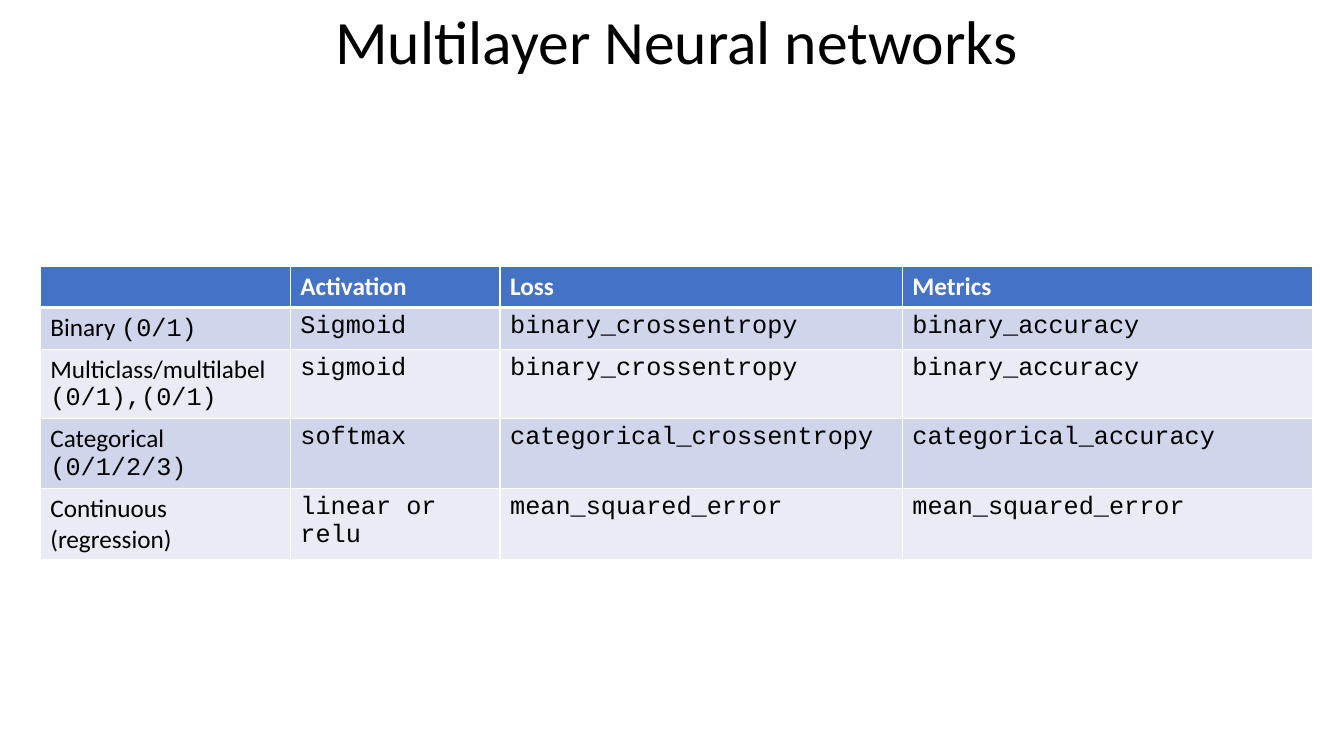
from lxml import etree
from pptx import Presentation, util as u
from pptx.dml.color import RGBColor
from pptx.enum import text
from pptx.oxml.ns import qn

WIDTH, HEIGHT = 13.33, 7.5
BODY, CODE = "Calibri", "Courier New"
BLACK, WHITE, HEADER = "000000", "FFFFFF", "4472C4"
BANDS = ("CFD5EA", "E9EBF5")

COLUMN_WIDTHS = (2.48, 2.08, 3.99, 4.07)
ROW_HEIGHTS = (0.41, 0.41, 0.69, 0.69, 0.7)
HEADINGS = ("", "Activation", "Loss", "Metrics")

# Each task: paragraphs of (words, font) runs, then its three code cells
TASKS = (
    ([[("Binary ", BODY), ("(0/1)", CODE)]],
     "Sigmoid", "binary_crossentropy", "binary_accuracy"),
    ([[("Multiclass/multilabel", BODY)], [("(0/1),(0/1)", CODE)]],
     "sigmoid", "binary_crossentropy", "binary_accuracy"),
    ([[("Categorical", BODY)], [("(0/1/2/3)", CODE)]],
     "softmax", "categorical_crossentropy", "categorical_accuracy"),
    ([[("Continuous (regression)", BODY)]],
     "linear or relu", "mean_squared_error", "mean_squared_error"),
)


def color(value):
    return RGBColor.from_string(value)


def add_run(paragraph, words, name, size, ink, bold=False):
    run = paragraph.add_run()
    run.text = words
    run.font.color.rgb = color(ink)
    for key, value in dict(name=name, size=u.Pt(size), bold=bold).items():
        setattr(run.font, key, value)


def add_title(slide, words):
    title = slide.shapes.title
    place = dict(left=0.072 * WIDTH, top=-0.037 * HEIGHT,
                 width=0.863 * WIDTH, height=0.193 * HEIGHT)
    for key, value in place.items():
        setattr(title, key, u.Inches(value))
    frame = title.text_frame
    frame.word_wrap = True
    frame.vertical_anchor = text.MSO_ANCHOR.MIDDLE
    paragraph = frame.paragraphs[0]
    paragraph.alignment = text.PP_ALIGN.CENTER
    paragraph.line_spacing = 0.9
    add_run(paragraph, words, BODY, 44, BLACK)


def add_borders(cell, bottom=1):
    """Rule a cell in white; borders must precede the fill."""
    properties = cell._tc.get_or_add_tcPr()
    for side, points in dict(L=1, R=1, T=1, B=bottom).items():
        line = etree.SubElement(properties, qn(f"a:ln{side}"), w=str(u.Pt(points)))
        fill = etree.SubElement(line, qn("a:solidFill"))
        etree.SubElement(fill, qn("a:srgbClr"), val=WHITE)


def fill_cell(cell, paragraphs, fill, ink=BLACK, bold=False, bottom=1):
    add_borders(cell, bottom)
    cell.fill.solid()
    cell.fill.fore_color.rgb = color(fill)
    frame = cell.text_frame
    for index, runs in enumerate(paragraphs):
        paragraph = frame.add_paragraph() if index else frame.paragraphs[0]
        for words, name in runs:
            add_run(paragraph, words, name, 18, ink, bold)


def add_task_table(slide):
    frame = slide.shapes.add_table(
        len(ROW_HEIGHTS), len(COLUMN_WIDTHS), u.Inches(0.03 * WIDTH),
        u.Inches(0.352 * HEIGHT), u.Inches(sum(COLUMN_WIDTHS)),
        u.Inches(sum(ROW_HEIGHTS)))
    table = frame.table
    for column, width in zip(table.columns, COLUMN_WIDTHS):
        column.width = u.Inches(width)
    for row, height in zip(table.rows, ROW_HEIGHTS):
        row.height = u.Inches(height)

    # Heading row
    for index, heading in enumerate(HEADINGS):
        runs = [(heading, BODY)] if heading else []
        fill_cell(table.cell(0, index), [runs], HEADER, WHITE, True, 3)

    # Banded task rows
    for row, (task, *settings) in enumerate(TASKS, 1):
        contents = [task] + [[[(setting, CODE)]] for setting in settings]
        for column, paragraphs in enumerate(contents):
            fill_cell(table.cell(row, column), paragraphs, BANDS[(row - 1) % 2],
                      bottom=1)


def main():
    presentation = Presentation()
    presentation.slide_width = u.Inches(WIDTH)
    presentation.slide_height = u.Inches(HEIGHT)
    slide = presentation.slides.add_slide(presentation.slide_layouts[5])
    slide.background.fill.solid()
    slide.background.fill.fore_color.rgb = color(WHITE)
    add_title(slide, "Multilayer Neural networks")
    add_task_table(slide)
    presentation.save("out.pptx")


if __name__ == "__main__":
    main()
